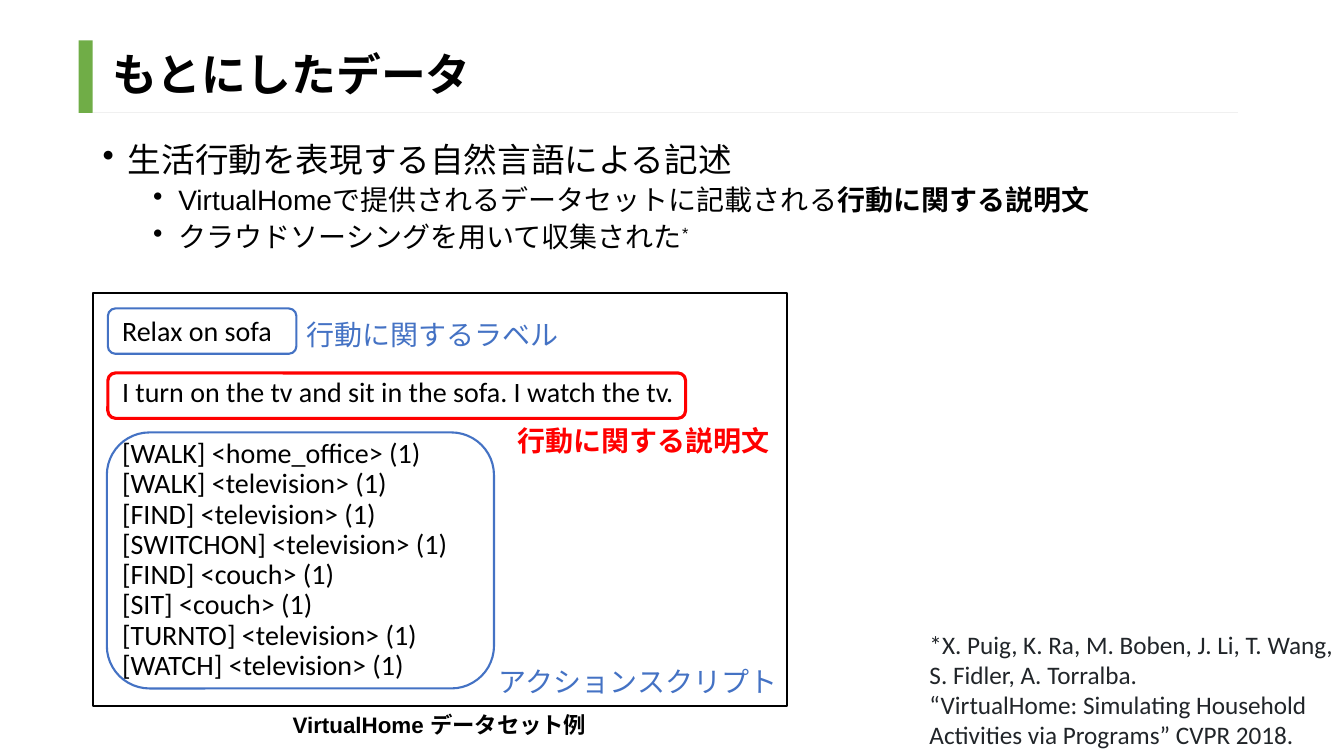
import pptx
import pptx.dml.color
import pptx.enum.shapes
import pptx.enum.text
import pptx.oxml.ns
import pptx.util
from lxml import etree

RGBColor = pptx.dml.color.RGBColor
Inches, Pt = pptx.util.Inches, pptx.util.Pt
Shapes = pptx.enum.shapes.MSO_SHAPE
Align = pptx.enum.text.PP_ALIGN
Anchor = pptx.enum.text.MSO_ANCHOR

BLACK = RGBColor(0, 0, 0)
GREEN = RGBColor(0x70, 0xAD, 0x47)
BLUE = RGBColor(0x44, 0x72, 0xC4)
RED = RGBColor(0xFF, 0, 0)
INK = RGBColor(0x21, 0x25, 0x29)
PALE = RGBColor(0xF0, 0xF0, 0xF0)

LEFT = 0.92
TITLE = "もとにしたデータ"
# Each bullet: level, size, runs of (text, bold, superscript)
BULLETS = [
    (0, 24, [("生活行動を表現する自然言語による記述", False, False)]),
    (1, 20, [("VirtualHomeで提供されるデータセットに記載される", False, False),
             ("行動に関する説明文", True, False)]),
    (1, 20, [("クラウドソーシングを用いて収集された", False, False),
             ("*", False, True)]),
]
EXAMPLE_PARTS = [
    ["Relax on sofa"],
    ["I turn on the tv and sit in the sofa. I watch the tv."],
    ["[WALK] <home_office> (1)", "[WALK] <television> (1)",
     "[FIND] <television> (1)", "[SWITCHON] <television> (1)",
     "[FIND] <couch> (1)", "[SIT] <couch> (1)",
     "[TURNTO] <television> (1)", "[WATCH] <television> (1)"],
]
# Outlines: box, colour, line width
OUTLINES = [
    ((1.07, 3.06, 1.87, 0.45), BLUE, 1.5),
    ((1.07, 3.7, 5.73, 0.45), RED, 2.25),
    ((1.06, 4.29, 3.84, 2.54), BLUE, 1.5),
]
# Labels: box, lines, size, font, colour, bold, alignment
LABELS = [
    ((2.94, 3.1, 2.84, 0.44), ["行動に関するラベル"], 20, "Arial", BLUE, False, Align.LEFT),
    ((5.03, 4.15, 2.78, 0.44), ["行動に関する説明文"], 20, "Arial", RED, True, Align.LEFT),
    ((4.85, 6.54, 3, 0.44), ["アクションスクリプト"], 20, "Arial", BLUE, False, Align.LEFT),
    ((1.68, 7.01, 5.36, 0.37), ["VirtualHome データセット例"], 16, "Arial", BLACK, True,
     Align.CENTER),
    ((9.12, 6.19, 4.21, 1.31),
     ["*X. Puig, K. Ra, M. Boben, J. Li, T. Wang, S. Fidler, A. Torralba.",
      "“VirtualHome: Simulating Household Activities via Programs” CVPR 2018."],
     18, "Calibri", INK, False, Align.LEFT),
]


def add_box(slide, kind, box, fill=None, line=None, width=1.5):
    """Add a preset shape with an optional fill and outline."""
    shape = slide.shapes.add_shape(kind, *map(Inches, box))
    shape.shadow.inherit = False
    if fill is None:
        shape.fill.background()
    else:
        shape.fill.solid()
        shape.fill.fore_color.rgb = fill
    if line is None:
        shape.line.fill.background()
    else:
        shape.line.color.rgb = line
        shape.line.width = Pt(width)
    return shape


def add_text_frame(slide, box):
    """Add a wrapping text box and return its text frame."""
    frame = slide.shapes.add_textbox(*map(Inches, box)).text_frame
    frame.word_wrap = True
    return frame


def next_paragraph(frame, index):
    """Return the first paragraph, or a new one after it."""
    return frame.add_paragraph() if index else frame.paragraphs[0]


def style(paragraph, size, name, color=BLACK, bold=False, spacing=None):
    """Set the font and line spacing of a paragraph."""
    font = paragraph.font
    font.size, font.name, font.bold = Pt(size), name, bold
    font.color.rgb = color
    if spacing:
        paragraph.line_spacing = spacing


def add_title(slide):
    """Add the title with its green bar and pale underline."""
    top, height = 0.4, 0.72
    add_box(slide, Shapes.RECTANGLE, (LEFT - 0.14, top, 0.14, height), fill=GREEN)
    rule = slide.shapes.add_connector(
        pptx.enum.shapes.MSO_CONNECTOR.STRAIGHT,
        *map(Inches, (LEFT, top + height, 12.28, top + height)))
    rule.line.color.rgb = PALE
    rule.line.width = Pt(0.75)
    etree.SubElement(rule._element.spPr, pptx.oxml.ns.qn("a:effectLst"))
    frame = add_text_frame(slide, (LEFT, top, 11.5, height))
    frame.margin_left = Inches(0.2)
    frame.margin_right = frame.margin_top = frame.margin_bottom = 0
    frame.vertical_anchor = Anchor.MIDDLE
    frame.paragraphs[0].text = TITLE
    style(frame.paragraphs[0], 32, "Arial", bold=True, spacing=0.9)


def add_bullets(slide):
    """Add the two-level bullet list."""
    frame = add_text_frame(slide, (LEFT, 1.37, 11.5, 1.3))
    for index, (level, size, runs) in enumerate(BULLETS):
        paragraph = next_paragraph(frame, index)
        paragraph.level = level
        style(paragraph, size, "Arial", spacing=0.9)
        paragraph.space_before = Pt(5 * level)
        properties = paragraph._p.get_or_add_pPr()
        properties.set("marL", str(Inches(0.25 + 0.5 * level)))
        properties.set("indent", str(Inches(-0.25)))
        bullet = etree.Element(pptx.oxml.ns.qn("a:buChar"), char="•")
        properties.find(pptx.oxml.ns.qn("a:defRPr")).addprevious(bullet)
        for text, bold, superscript in runs:
            run = paragraph.add_run()
            run.text = text
            run.font.bold = bold
            if superscript:
                run._r.get_or_add_rPr().set("baseline", "30000")


def add_example(slide):
    """Add the framed data example, one line apart between its parts."""
    shape = add_box(slide, Shapes.RECTANGLE, (LEFT, 2.91, 6.89, 4.09), line=BLACK)
    frame = shape.text_frame
    frame.word_wrap = True
    frame.vertical_anchor = Anchor.MIDDLE
    frame.margin_left = Inches(0.29)
    lines = [(text, part > 0 and row == 0)
             for part, texts in enumerate(EXAMPLE_PARTS)
             for row, text in enumerate(texts)]
    for index, (text, starts_part) in enumerate(lines):
        paragraph = next_paragraph(frame, index)
        paragraph.text = text
        paragraph.alignment = Align.LEFT
        style(paragraph, 20, "Calibri", spacing=0.9)
        paragraph.space_before = Pt(22 if starts_part else 0)


def add_label(slide, box, lines, size, name, color, bold, alignment):
    """Add a text box of uniformly styled paragraphs."""
    frame = add_text_frame(slide, box)
    for index, text in enumerate(lines):
        paragraph = next_paragraph(frame, index)
        paragraph.text = text
        paragraph.alignment = alignment
        style(paragraph, size, name, color, bold)


presentation = pptx.Presentation()
presentation.slide_width, presentation.slide_height = Inches(13.33), Inches(7.5)
slide = presentation.slides.add_slide(presentation.slide_layouts[6])
add_bullets(slide)
add_title(slide)
add_example(slide)
for box, color, width in OUTLINES:
    add_box(slide, Shapes.ROUNDED_RECTANGLE, box, line=color, width=width)
for label in LABELS:
    add_label(slide, *label)
presentation.save("out.pptx")
